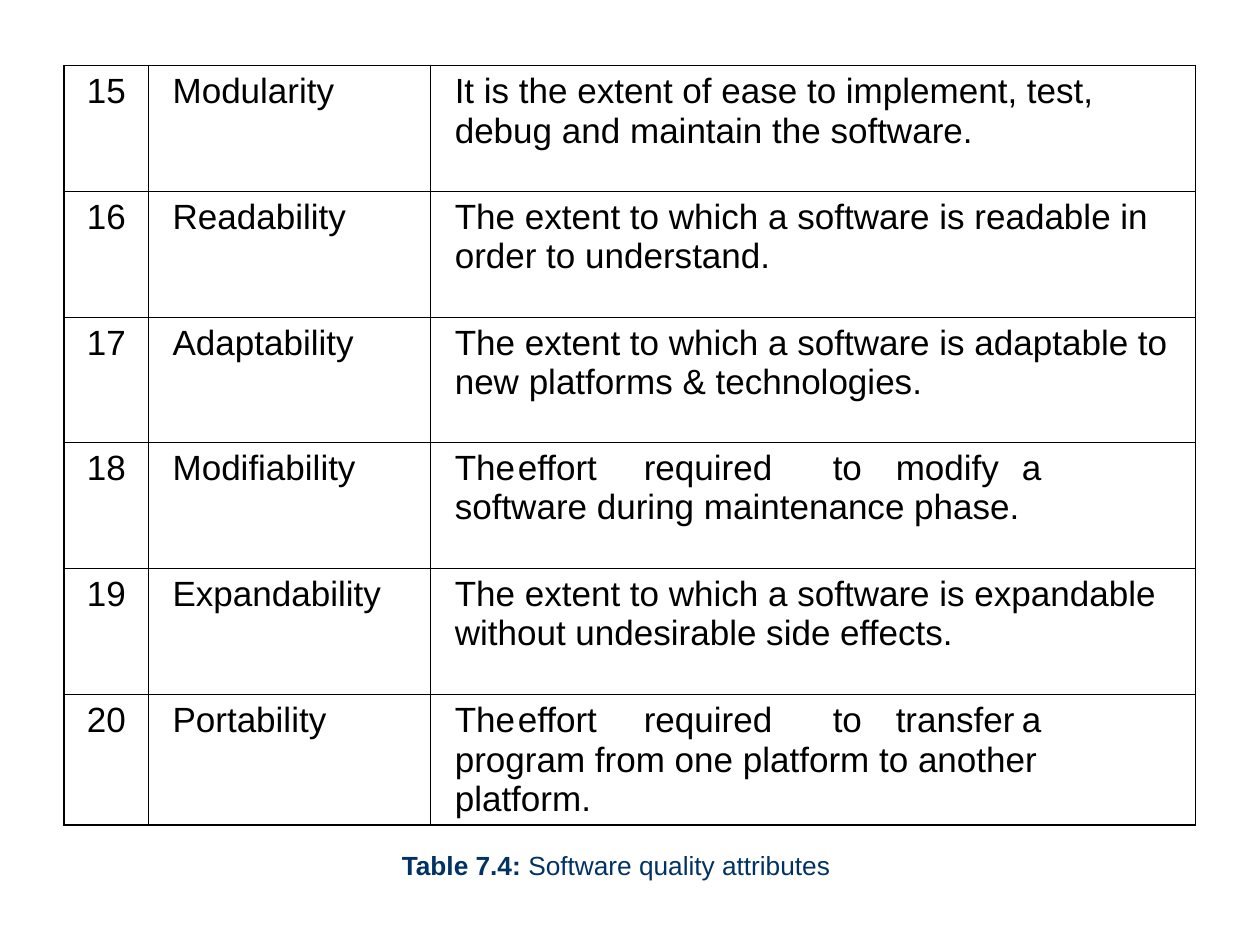
import pptx
import pptx.util
import pptx.oxml
import pptx.dml.color
from pptx.util import Inches, Pt
from lxml import etree

# Content
rows = [
    ("15", "Modularity", "It is the extent of ease to implement, test, "
     "debug and maintain the software."),
    ("16", "Readability", "The extent to which a software is readable in "
     "order to understand."),
    ("17", "Adaptability", "The extent to which a software is adaptable to "
     "new platforms & technologies."),
    ("18", "Modifiability", "The\teffort\trequired\tto\tmodify\ta\tsoftware "
     "during maintenance phase."),
    ("19", "Expandability", "The extent to which a software is expandable "
     "without undesirable side effects."),
    ("20", "Portability", "The\teffort\trequired\tto\ttransfer\ta\tprogram "
     "from one platform to another platform."),
]
tabs = {  # word positions of the spaced-out lines
    "18": (0.7, 1.45, 2.54, 2.93, 3.84, 4.16),
    "20": (0.63, 1.42, 2.59, 2.98, 4.07, 4.38),
}
caption = [("Table 7.4: ", True), ("Software quality attributes", False)]

# Layout
left, top, height = 0.51, 0.52, 5.99
widths = (0.67, 2.24, 6.07)
indents = (0.08, 0.09, 0.09)
thick, thin = 1.08, 0.45


def tint(code):
    return pptx.dml.color.RGBColor.from_string(code)


def write(para, text, size=20, color="000000", bold=False, indent=0, stops=()):
    """Add a formatted run to a paragraph."""
    props = para._p.get_or_add_pPr()
    if indent:
        props.set("marL", str(Inches(indent)))
        props.set("indent", "0")
    if stops:
        group = etree.SubElement(props, pptx.oxml.ns.qn("a:tabLst"))
        for stop in stops:
            etree.SubElement(group, pptx.oxml.ns.qn("a:tab"),
                             pos=str(Inches(stop)), algn="l")
    run = para.add_run()
    run.text = text
    font = run.font
    font.name, font.size, font.bold = "Arial", Pt(size), bold
    font.color.rgb = tint(color)


def border(cell, sizes, color="000000"):
    """Draw the cell's left, right, top and bottom lines."""
    props = cell._tc.get_or_add_tcPr()
    for spot, (side, size) in enumerate(zip("LRTB", sizes)):
        line = pptx.oxml.parse_xml(
            f'<a:ln{side} {pptx.oxml.ns.nsdecls("a")} w="{Pt(size)}">'
            f'<a:solidFill><a:srgbClr val="{color}"/></a:solidFill></a:ln{side}>')
        props.insert(spot, line)


deck = pptx.Presentation()
deck.slide_width, deck.slide_height = Inches(10), Inches(7.5)
slide = deck.slides.add_slide(deck.slide_layouts[6])

# Attribute table
table = slide.shapes.add_table(
    len(rows), len(widths), Inches(left), Inches(top),
    Inches(sum(widths)), Inches(height)).table
table.first_row = table.horz_banding = False
for col, width in zip(table.columns, widths):
    col.width = Inches(width)
last, end = len(rows) - 1, len(widths) - 1
for r, row in enumerate(rows):
    table.rows[r].height = Inches(height / len(rows))
    for c, text in enumerate(row):
        cell = table.cell(r, c)
        cell.fill.background()
        edges = (c == 0, c == end, r == 0, r == last)
        border(cell, [thick if edge else thin for edge in edges])
        write(cell.text_frame.paragraphs[0], text, indent=indents[c],
              stops=tabs.get(row[0], ()) if c == end else ())
    if r in (0, last):
        table.cell(r, end).text_frame.paragraphs[0].line_spacing = 1.01

# Caption
box = slide.shapes.add_textbox(Inches(3.18), Inches(6.74), Inches(3.64), Inches(0.25))
frame = box.text_frame
frame.word_wrap = True
frame.margin_left = frame.margin_right = frame.margin_top = frame.margin_bottom = 0
for text, bold in caption:
    write(frame.paragraphs[0], text, size=15, color="003265", bold=bold, indent=0.01)

deck.save("out.pptx")
